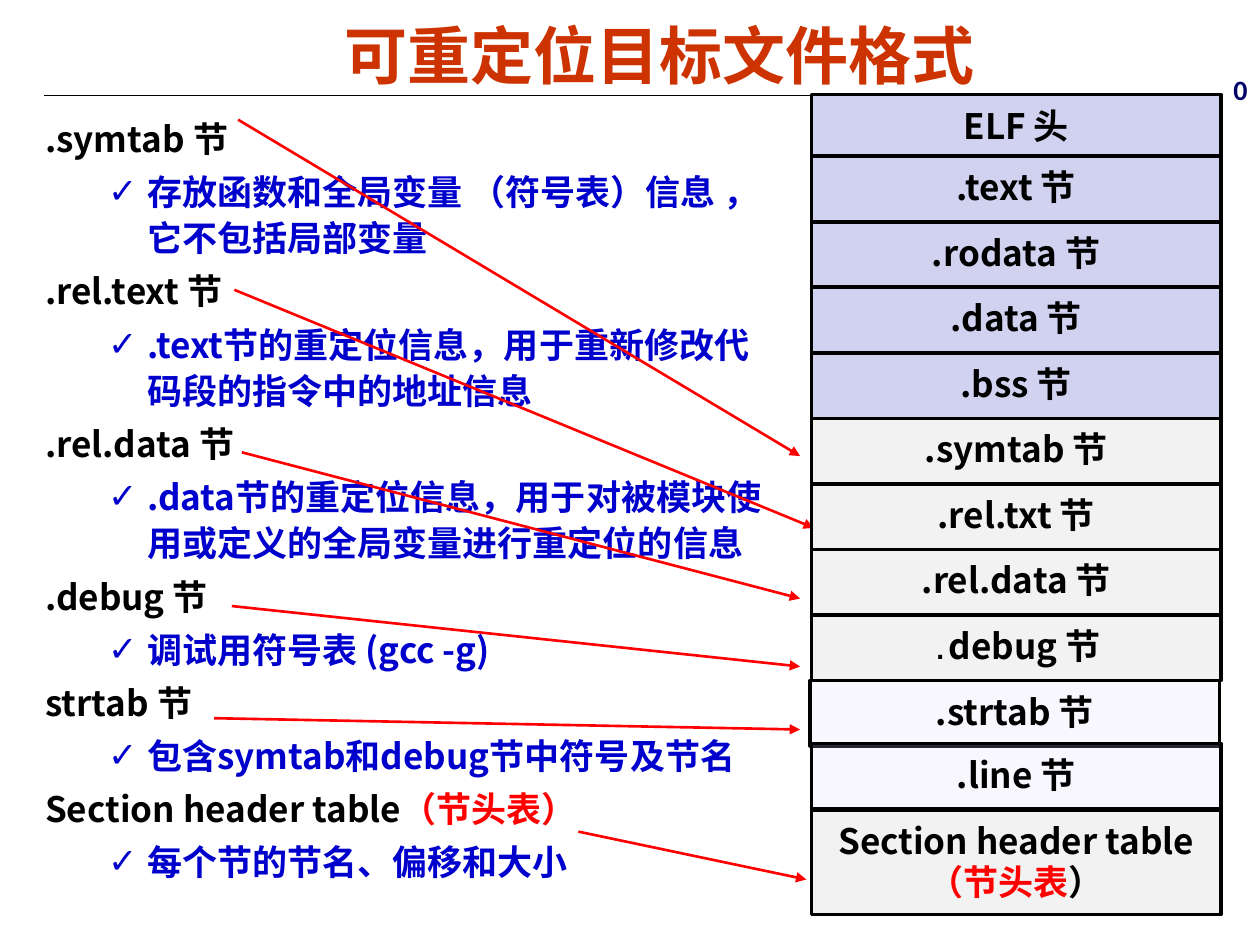
from dataclasses import dataclass

from lxml import etree
from pptx import Presentation
from pptx import util as u
from pptx.dml import color
from pptx.enum import shapes, text
from pptx.oxml import ns

SCALE = 9144
CJK = "Noto Sans CJK SC"
HEX = {
    "black": "000000",
    "red": "FF0000",
    "rust": "CC3300",
    "blue": "0000CC",
    "navy": "000066",
    "lilac": "D1D1F0",
    "grey": "F2F2F2",
    "pale": "D6D6F5",
}


@dataclass(frozen=True)
class Run:
    text: str
    ink: str = "black"
    size: int = 20
    font: str = CJK


@dataclass(frozen=True)
class Cell:
    runs: tuple
    top: int
    fill: str
    left: int = 644
    high: int = 52
    alpha: int = 100
    lead: float = 0.94


@dataclass(frozen=True)
class Arrow:
    x1: int
    y1: int
    x2: int
    y2: int


@dataclass(frozen=True)
class Topic:
    head: tuple
    note: str


def px(*vals: int) -> list:
    return [u.Emu(val * SCALE) for val in vals]


def rgb(name: str) -> color.RGBColor:
    return color.RGBColor.from_string(HEX[name])


def sub(node, tag: str, **attrs):
    return etree.SubElement(node, ns.qn(tag), attrs)


def add_text(frame, runs, *, first=False, align=None, lead=None,
             gap=0, left=0, hang=0, mark=None) -> None:
    para = frame.paragraphs[0] if first else frame.add_paragraph()
    para.alignment = align
    para.line_spacing = lead
    para.space_before = u.Pt(0 if first else gap)
    props = para._p.get_or_add_pPr()
    props.set("marL", str(left * SCALE))
    props.set("indent", str(-hang * SCALE))
    if mark:
        props.set("lvl", "1")
        sub(props, "a:buFont", typeface="Arial")
        sub(props, "a:buChar", char=mark)
    else:
        sub(props, "a:buNone")
    for item in runs:
        run = para.add_run()
        run.text = item.text
        run.font.name = item.font
        run.font.size = u.Pt(item.size)
        run.font.bold = True
        run.font.color.rgb = rgb(item.ink)
        sub(run._r.get_or_add_rPr(), "a:ea", typeface=CJK)


def add_line(slide, arrow: Arrow, ink: str, width: float, head=True) -> None:
    line = slide.shapes.add_connector(
        shapes.MSO_CONNECTOR.STRAIGHT,
        *px(arrow.x1, arrow.y1, arrow.x2, arrow.y2))
    line.line.color.rgb = rgb(ink)
    line.line.width = u.Pt(width)
    if head:
        sub(line.line._get_or_add_ln(), "a:tailEnd", type="triangle")
    sub(line._element.spPr, "a:effectLst")


def add_cell(slide, cell: Cell) -> None:
    box = slide.shapes.add_shape(
        shapes.MSO_SHAPE.RECTANGLE, *px(cell.left, cell.top, 325, cell.high))
    box.shadow.inherit = False
    box.fill.solid()
    box.fill.fore_color.rgb = rgb(cell.fill)
    if cell.alpha < 100:
        tint = box._element.spPr.find(".//" + ns.qn("a:srgbClr"))
        sub(tint, "a:alpha", val=str(cell.alpha * 1000))
    box.line.color.rgb = rgb("black")
    box.line.width = u.Pt(2)
    frame = box.text_frame
    frame.word_wrap = False
    frame.vertical_anchor = text.MSO_ANCHOR.MIDDLE
    for i, runs in enumerate(cell.runs):
        add_text(frame, runs, first=i == 0,
                 align=text.PP_ALIGN.CENTER, lead=cell.lead)


def row(label: str, step: int, fill: str) -> Cell:
    return Cell(((Run(label),),), 124 + 52 * step, fill)


TOPICS = [
    Topic((Run(".symtab 节"),), "存放函数和全局变量 （符号表）信息 ，它不包括局部变量"),
    Topic((Run(".rel.text 节"),), ".text节的重定位信息，用于重新修改代码段的指令中的地址信息"),
    Topic((Run(".rel.data 节"),), ".data节的重定位信息，用于对被模块使用或定义的全局变量进行重定位的信息"),
    Topic((Run(".debug 节"),), "调试用符号表 (gcc -g)"),
    Topic((Run("strtab 节"),), "包含symtab和debug节中符号及节名"),
    Topic((Run("Section header table"), Run("（节头表）", "red")), "每个节的节名、偏移和大小"),
]

ARROWS = [
    Arrow(189, 95, 635, 362),
    Arrow(186, 230, 646, 419),
    Arrow(192, 359, 635, 475),
    Arrow(184, 481, 635, 529),
    Arrow(170, 570, 635, 579),
    Arrow(459, 660, 640, 698),
]

LOADED = [".text 节", ".rodata 节", ".data 节", ".bss 节"]
LINKED = [".symtab 节", ".rel.txt 节", ".rel.data 节"]
CELLS = [
    Cell(((Run("ELF 头"),),), 75, "lilac", lead=0.98),
    *(row(label, i, "lilac") for i, label in enumerate(LOADED)),
    *(row(label, i, "grey") for i, label in enumerate(LINKED, len(LOADED))),
    Cell(((Run(".", size=16, font="Courier New"), Run("debug 节")),), 488, "grey"),
    Cell(((Run("Section header table"),),
          (Run("（节头表", "red"), Run("）"))), 643, "grey", high=83, lead=0.98),
    Cell(((Run(".strtab 节"),),), 540, "pale", left=643, alpha=19),
    Cell(((Run(".line 节"),),), 590, "pale", alpha=19),
]


def add_title(slide) -> None:
    title = slide.shapes.title
    title.left, title.top, title.width, title.height = px(47, 0, 953, 86)
    frame = title.text_frame
    frame.vertical_anchor = text.MSO_ANCHOR.MIDDLE
    add_text(frame, [Run("可重定位目标文件格式", "rust", 36, "Arial")],
             first=True, align=text.PP_ALIGN.CENTER)


def add_topics(slide) -> None:
    frame = slide.shapes.add_textbox(*px(26, 85, 605, 633)).text_frame
    frame.word_wrap = True
    for i, topic in enumerate(TOPICS):
        add_text(frame, topic.head, first=i == 0, lead=1.1, gap=4,
                 left=38, hang=38)
        add_text(frame, [Run(topic.note, "blue")], lead=1.1, gap=4,
                 left=81, hang=31, mark="✓")


def main() -> None:
    deck = Presentation()
    deck.slide_width, deck.slide_height = px(1000, 750)
    slide = deck.slides.add_slide(deck.slide_layouts[5])
    add_line(slide, Arrow(35, 76, 965, 76), "black", 0.75, head=False)
    add_title(slide)
    add_topics(slide)
    for arrow in ARROWS:
        add_line(slide, arrow, "red", 1.5)
    for cell in CELLS:
        add_cell(slide, cell)
    zero = slide.shapes.add_textbox(*px(969, 54, 31, 36)).text_frame
    zero.word_wrap = False
    add_text(zero, [Run("0", "navy", 16, "Calibri")], first=True, lead=0.98)
    deck.save("out.pptx")


if __name__ == "__main__":
    main()
